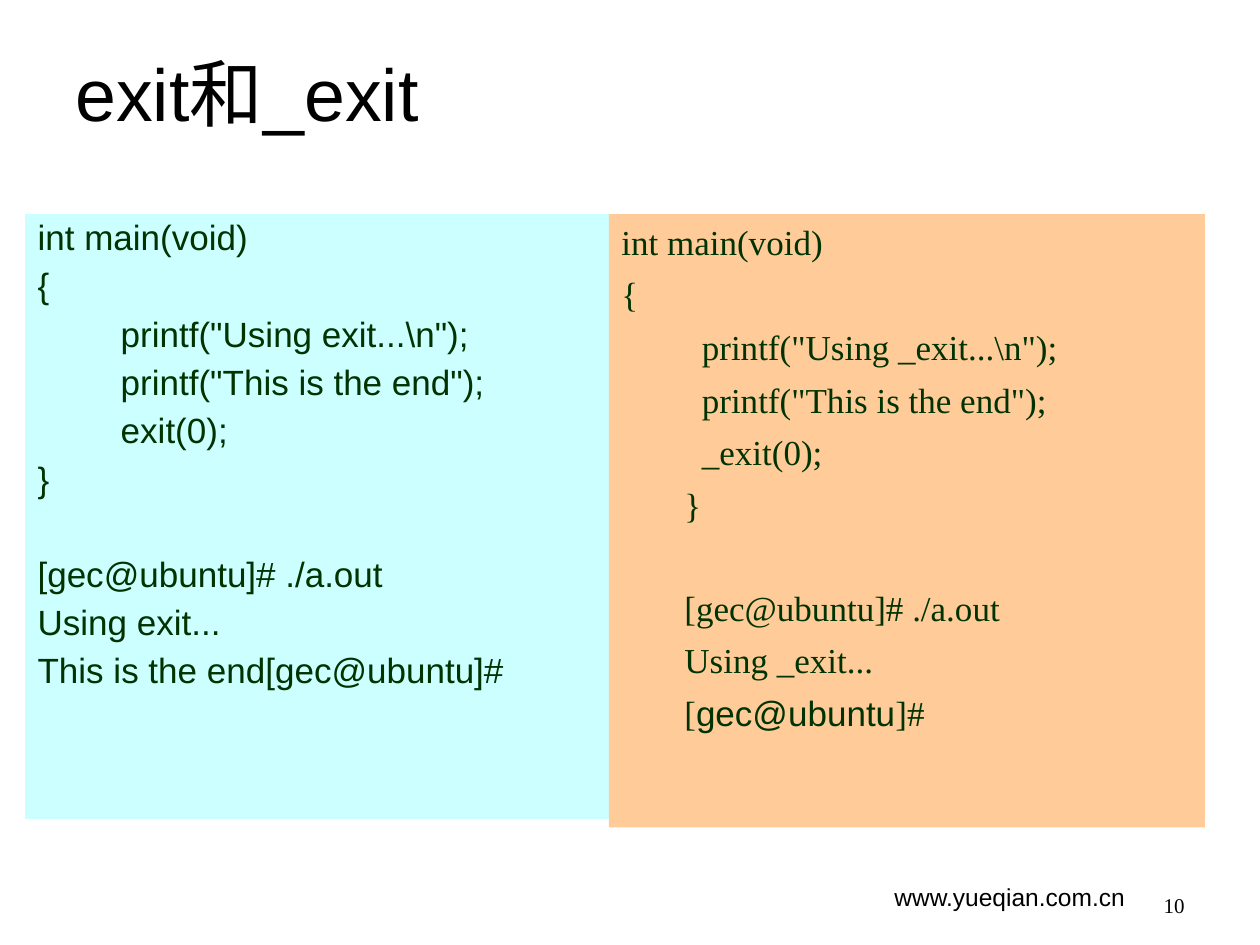
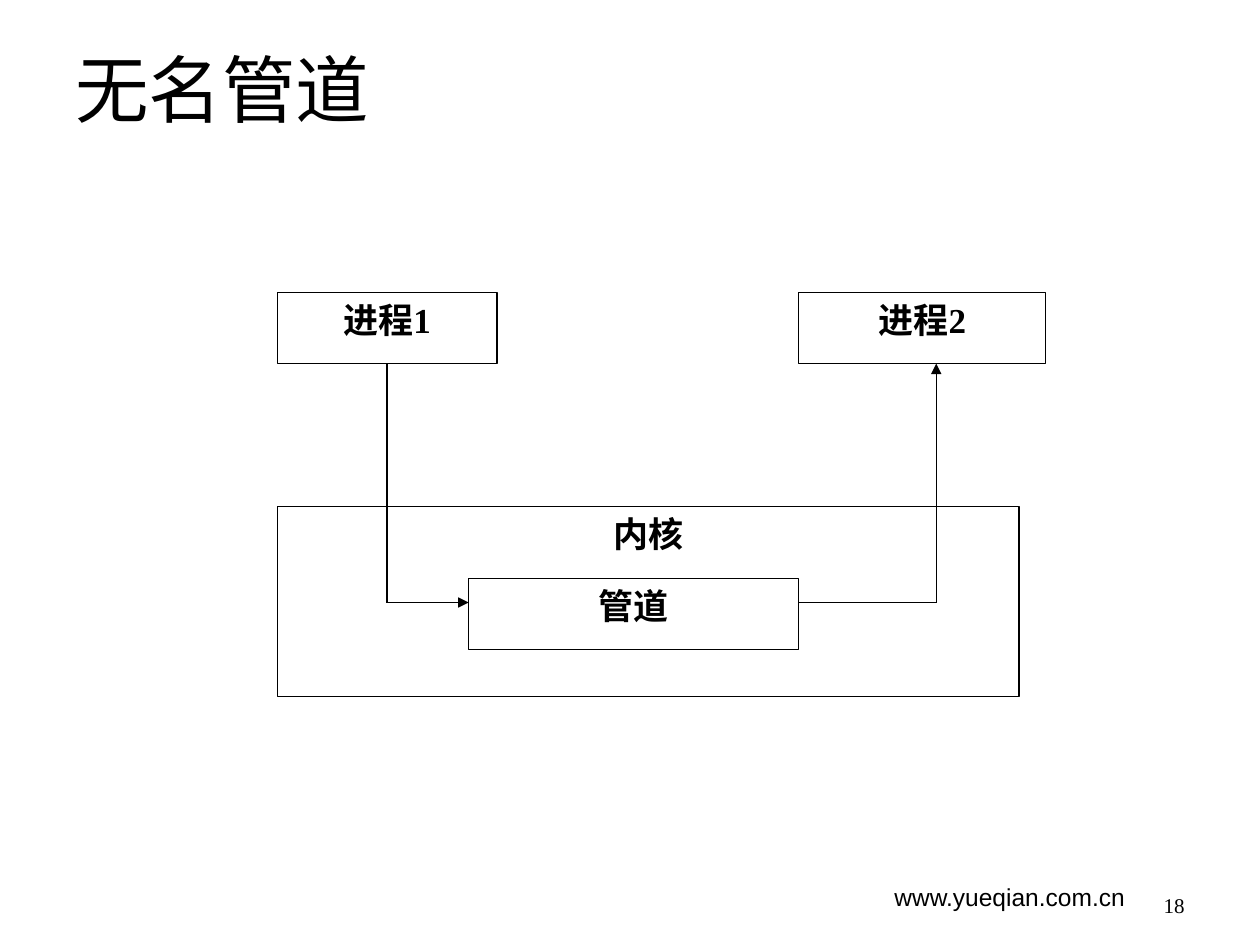
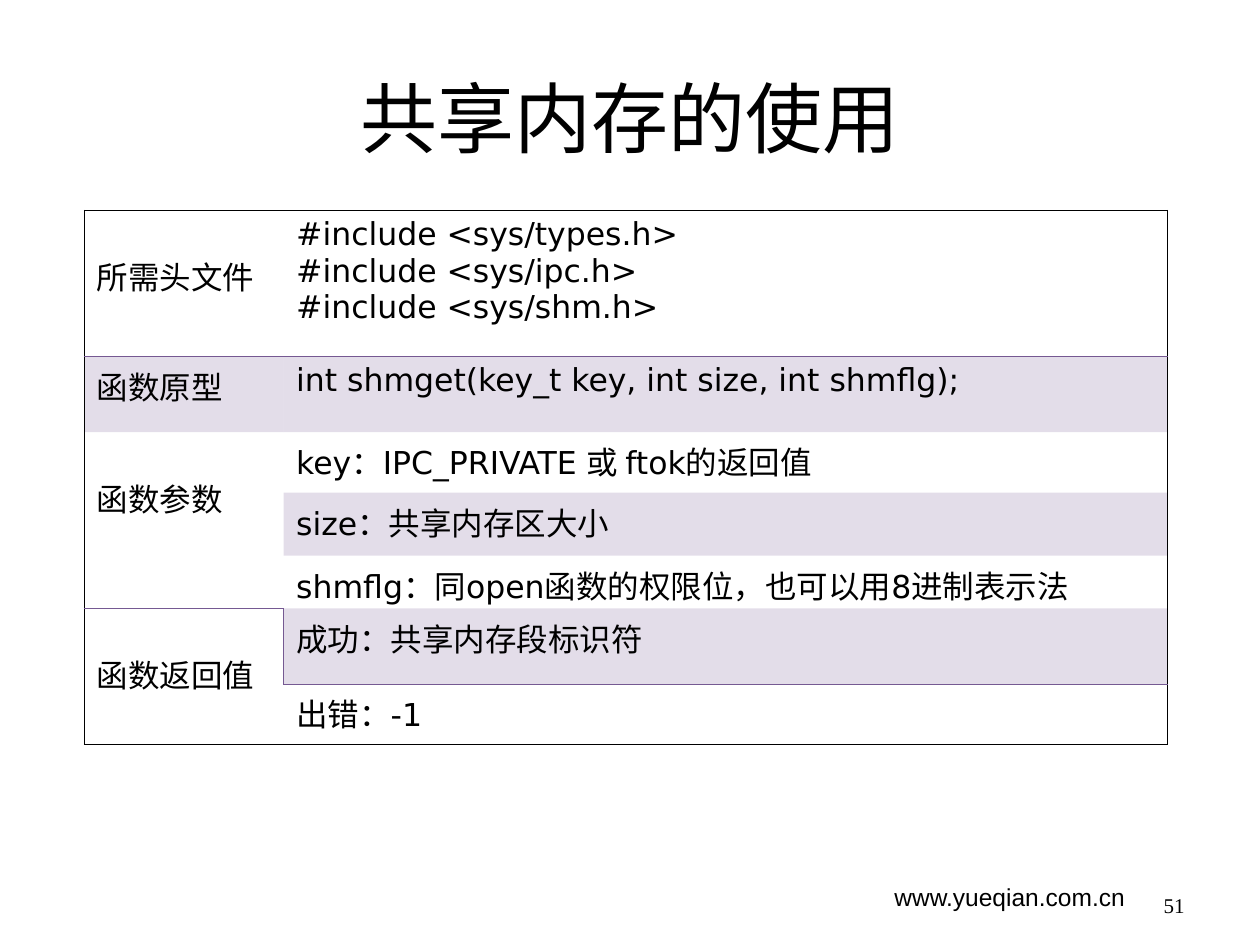
from lxml import etree
from pptx import Presentation
from pptx.dml.color import RGBColor
from pptx.enum.shapes import MSO_CONNECTOR, MSO_SHAPE
from pptx.enum.text import MSO_ANCHOR, PP_ALIGN
from pptx.oxml.ns import qn
from pptx.util import Pt

BLACK = RGBColor(0x00, 0x00, 0x00)
WHITE = RGBColor(0xFF, 0xFF, 0xFF)
GREEN = RGBColor(0x00, 0x33, 0x00)
CYAN = RGBColor(0xCC, 0xFF, 0xFF)
ORANGE = RGBColor(0xFF, 0xCC, 0x99)
PURPLE = RGBColor(0x75, 0x59, 0x92)
SANS, SERIF, TABLE_FONT = "Arial", "Times New Roman", "DejaVu Sans"
RECTANGLE, STRAIGHT = MSO_SHAPE.RECTANGLE, MSO_CONNECTOR.STRAIGHT
LEFT, CENTER, RIGHT = PP_ALIGN.LEFT, PP_ALIGN.CENTER, PP_ALIGN.RIGHT
TOP, MIDDLE, BOTTOM = MSO_ANCHOR.TOP, MSO_ANCHOR.MIDDLE, MSO_ANCHOR.BOTTOM
PLAIN_TABLE = "{2D5ABB26-0587-4C30-8999-92F81FD0307C}"

SITE = "www.yueqian.com.cn"
SITE_AREA = (504, 500.4, 180, 28.8)
NUMBER_AREA = (516, 492, 168, 36)
TITLE_AREA = (36, 21.6, 648, 90)

TITLE_FONT = {"name": SANS, "size": Pt(42)}
BIG_TITLE_FONT = {"name": SANS, "size": Pt(44)}
SITE_FONT = {"name": SANS, "size": Pt(14)}
NUMBER_FONT = {"name": SERIF, "size": Pt(12)}
NODE_FONT = {"name": SERIF, "size": Pt(20), "bold": True}
CELL_FONT = {"name": TABLE_FONT, "size": Pt(18)}

LINE_GAP = 6
CODE_PANELS = [
    {
        "area": (14.4, 122.4, 334, 345.6), "fill": CYAN, "font": SANS,
        "spacing": 0.9, "output_gap": 32.7,
        "lines": [
            ("int main(void)", 0),
            ("{", 0),
            ('printf("Using exit...\\n");', 47.5),
            ('printf("This is the end");', 47.5),
            ("exit(0);", 47.5),
            ("}", 0),
            ("[gec@ubuntu]# ./a.out", 0),
            ("Using exit...", 0),
            ("This is the end[gec@ubuntu]#", 0),
        ],
    },
    {
        "area": (348, 122.4, 340.5, 350.4), "fill": ORANGE, "font": SERIF,
        "spacing": 1.0, "output_gap": 35,
        "lines": [
            ("int main(void)", 0),
            ("{", 0),
            ('  printf("Using _exit...\\n");', 36),
            ('  printf("This is the end");', 36),
            ("  _exit(0);", 36),
            ("}", 36),
            ("[gec@ubuntu]# ./a.out", 36),
            ("Using _exit...", 36),
            ([("[", SERIF), ("gec@ubuntu", SANS), ("]#", SERIF)], 36),
        ],
    },
]
OUTPUT_START = 6

NODES = {
    "内核": (158.4, 289.4, 424, 108.8),
    "管道": (267.8, 330.4, 188.6, 41),
    "进程1": (158.4, 167, 125.6, 40.8),
    "进程2": (456.4, 167, 141.2, 40.8),
}
WRITE_X, READ_X, TURN_Y = 221.2, 535, 344.3

TABLE_AREA = (48.2, 120.2, 618.9, 305.3)
COLUMN_WIDTHS = (113.9, 505)
ROW_HEIGHTS = (83.5, 43.2, 34.6, 36, 30.2, 43.2, 34.6)
ROWS = [
    ("所需头文件", ["#include <sys/types.h>", "#include <sys/ipc.h>", "#include <sys/shm.h>"]),
    ("函数原型", ["int shmget(key_t key, int size, int shmflg);"]),
    ("函数参数", ["key：IPC_PRIVATE 或 ftok的返回值"]),
    ("", ["size：共享内存区大小"]),
    ("", ["shmflg：同open函数的权限位，也可以用8进制表示法"]),
    ("函数返回值", ["成功：共享内存段标识符"]),
    ("", ["出错：-1"]),
]
MERGED_ROWS = {2: 4, 5: 6}
LOWERED_LABELS = (0, 2, 5)
SHADED = {(1, 0), (1, 1), (3, 1), (5, 1)}
INNER_EDGES = {
    (0, 0): "B", (0, 1): "B", (1, 0): "T", (1, 1): "T",
    (2, 0): "B", (4, 0): "B", (5, 0): "RT", (5, 1): "LB", (6, 1): "T",
}


def add_span(para, text, font, color=BLACK):
    span = para.add_run()
    span.text = text
    for name, value in font.items():
        setattr(span.font, name, value)
    span.font.color.rgb = color


def write(frame, lines, font, align=LEFT, anchor=TOP):
    frame.word_wrap = True
    frame.vertical_anchor = anchor
    for index, line in enumerate(lines):
        para = frame.add_paragraph() if index else frame.paragraphs[0]
        para.alignment = align
        add_span(para, line, font)


def add_label(page, area, text, font, align=LEFT, anchor=TOP):
    box = page.shapes.add_textbox(*map(Pt, area))
    write(box.text_frame, [text], font, align, anchor)


def add_rectangle(page, area, fill):
    box = page.shapes.add_shape(RECTANGLE, *map(Pt, area))
    box.shadow.inherit = False
    box.fill.solid()
    box.fill.fore_color.rgb = fill
    box.line.fill.background()
    return box


def add_page(deck, number):
    page = deck.slides.add_slide(deck.slide_layouts[6])
    add_label(page, SITE_AREA, SITE, SITE_FONT)
    add_label(page, NUMBER_AREA, number, NUMBER_FONT, RIGHT, BOTTOM)
    return page


def add_code_panel(page, panel):
    box = add_rectangle(page, panel["area"], panel["fill"])
    frame = box.text_frame
    frame.word_wrap = True
    frame.vertical_anchor = TOP
    for index, (line, indent) in enumerate(panel["lines"]):
        para = frame.add_paragraph() if index else frame.paragraphs[0]
        para.alignment = LEFT
        para.line_spacing = panel["spacing"]
        if index:
            para.space_before = Pt(panel["output_gap"] if index == OUTPUT_START else LINE_GAP)
        para._p.get_or_add_pPr().set("marL", str(Pt(indent)))
        parts = [(line, panel["font"])] if isinstance(line, str) else line
        for text, name in parts:
            add_span(para, text, {"name": name, "size": Pt(20)}, GREEN)


def add_line(page, start, end, arrow=False):
    line = page.shapes.add_connector(STRAIGHT, *map(Pt, start + end))
    line.line.color.rgb = BLACK
    line.line.width = Pt(0.75)
    if arrow:
        etree.SubElement(line.line._get_or_add_ln(), qn("a:tailEnd"), type="triangle")
    etree.SubElement(line._element.spPr, qn("a:effectLst"))
    return line


def add_pipe_diagram(page):
    boxes = {}
    for text, area in NODES.items():
        box = add_rectangle(page, area, WHITE)
        box.line.color.rgb = BLACK
        box.line.width = Pt(0.75)
        write(box.text_frame, [text], NODE_FONT, CENTER)
        boxes[text] = box
    pipe_left, _, pipe_width, _ = NODES["管道"]
    _, process_top, _, process_height = NODES["进程1"]
    process_bottom = process_top + process_height
    down = add_line(page, (WRITE_X, process_bottom), (WRITE_X, TURN_Y))
    down.begin_connect(boxes["进程1"], 2)
    add_line(page, (READ_X, TURN_Y), (READ_X, process_bottom), True)
    add_line(page, (WRITE_X, TURN_Y), (pipe_left, TURN_Y), True)
    add_line(page, (pipe_left + pipe_width, TURN_Y), (READ_X, TURN_Y))


def set_borders(cell, row, column):
    last_row = MERGED_ROWS.get(row, row) if column == 0 else row
    outer = {
        "L": column == 0, "R": column == len(COLUMN_WIDTHS) - 1,
        "T": row == 0, "B": last_row == len(ROWS) - 1,
    }
    properties = cell._tc.get_or_add_tcPr()
    for side, is_outer in outer.items():
        edge = etree.SubElement(properties, qn("a:ln" + side), w=str(Pt(0.45)))
        if is_outer or side in INNER_EDGES.get((row, column), ""):
            fill = etree.SubElement(edge, qn("a:solidFill"))
            color = BLACK if is_outer else PURPLE
            etree.SubElement(fill, qn("a:srgbClr"), val=str(color))
        else:
            etree.SubElement(edge, qn("a:noFill"))


def set_cell_fill(cell, shaded):
    if not shaded:
        cell.fill.background()
        return
    cell.fill.solid()
    cell.fill.fore_color.rgb = PURPLE
    color = cell._tc.tcPr.find(qn("a:solidFill")).find(qn("a:srgbClr"))
    etree.SubElement(color, qn("a:alpha"), val="20000")


def add_function_table(page):
    table = page.shapes.add_table(len(ROWS), len(COLUMN_WIDTHS), *map(Pt, TABLE_AREA)).table
    table.first_row = table.horz_banding = False
    table._tbl.tblPr.find(qn("a:tableStyleId")).text = PLAIN_TABLE
    for column, width in enumerate(COLUMN_WIDTHS):
        table.columns[column].width = Pt(width)
    for first, last in MERGED_ROWS.items():
        table.cell(first, 0).merge(table.cell(last, 0))
    for row, (label, lines) in enumerate(ROWS):
        table.rows[row].height = Pt(ROW_HEIGHTS[row])
        for column, content in enumerate(([label], lines)):
            cell = table.cell(row, column)
            set_borders(cell, row, column)
            set_cell_fill(cell, (row, column) in SHADED)
            if not cell.is_spanned:
                write(cell.text_frame, content, CELL_FONT)
        if row in LOWERED_LABELS:
            table.cell(row, 0).margin_top = Pt(24.6)


def main():
    deck = Presentation()
    deck.slide_width, deck.slide_height = Pt(720), Pt(540)

    page = add_page(deck, "10")
    add_label(page, (36, 24, 444, 24), "exit和_exit", TITLE_FONT)
    for panel in CODE_PANELS:
        add_code_panel(page, panel)

    page = add_page(deck, "18")
    add_label(page, TITLE_AREA, "无名管道", TITLE_FONT)
    add_pipe_diagram(page)

    page = add_page(deck, "51")
    add_label(page, TITLE_AREA, "共享内存的使用", BIG_TITLE_FONT, CENTER, MIDDLE)
    add_function_table(page)

    deck.save("out.pptx")


if __name__ == "__main__":
    main()
